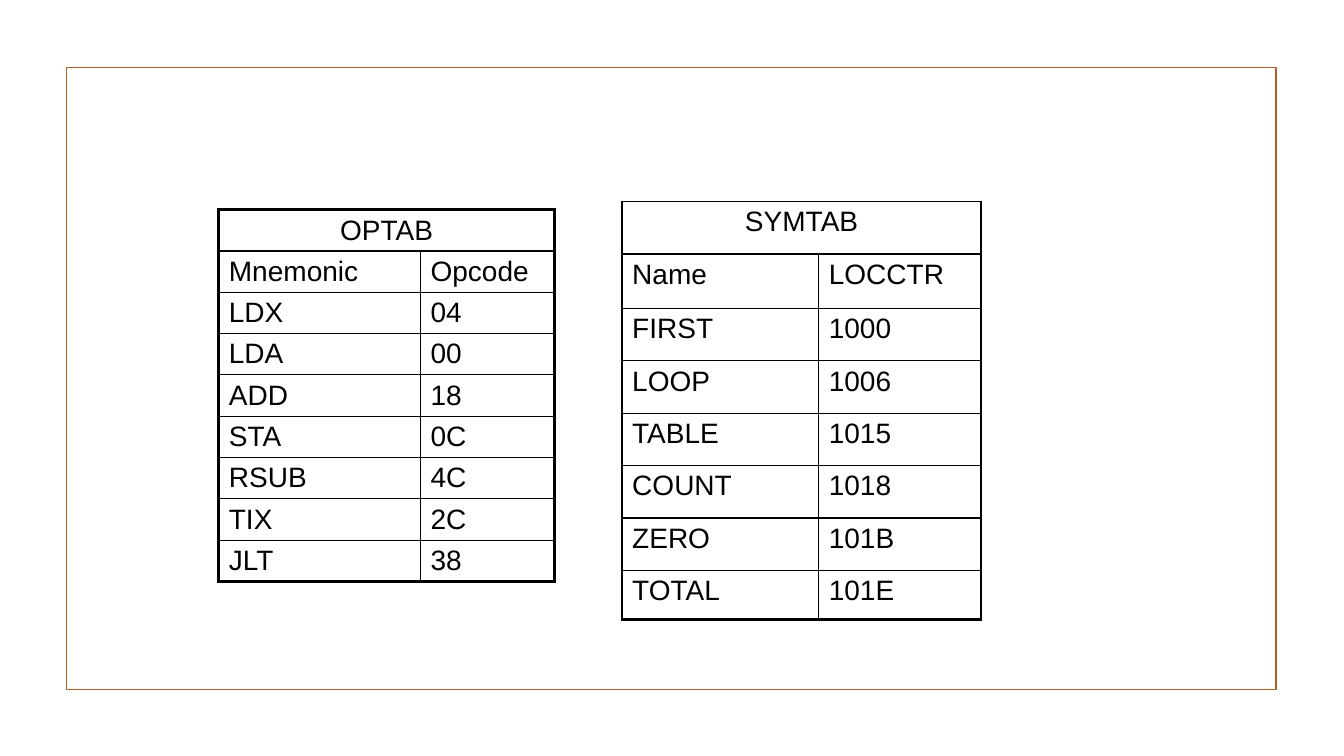
import pptx
import pptx.dml.color
import pptx.enum.shapes
import pptx.enum.text
import pptx.oxml
import pptx.oxml.ns
import pptx.util

PX = 9144  # 100 px to the inch
BLACK = pptx.dml.color.RGBColor(0x00, 0x00, 0x00)
RUST = pptx.dml.color.RGBColor(0xB1, 0x5E, 0x28)
FONT = "Arial"
THIN, THICK = 1, 2.25

OPTAB = [
    ("Mnemonic", "Opcode"),
    ("LDX", "04"),
    ("LDA", "00"),
    ("ADD", "18"),
    ("STA", "0C"),
    ("RSUB", "4C"),
    ("TIX", "2C"),
    ("JLT", "38"),
]
SYMTAB = [
    ("Name", "LOCCTR"),
    ("FIRST", "1000"),
    ("LOOP", "1006"),
    ("TABLE", "1015"),
    ("COUNT", "1018"),
    ("ZERO", "101B"),
    ("TOTAL", "101E"),
]


def px(num):
    return pptx.util.Emu(num * PX)


def add_frame(slide, left, top, width, height):
    frame = slide.shapes.add_shape(
        pptx.enum.shapes.MSO_SHAPE.RECTANGLE,
        px(left), px(top), px(width), px(height))
    frame.shadow.inherit = False
    frame.fill.background()
    frame.line.color.rgb = RUST
    frame.line.width = pptx.util.Pt(1.25)


def set_edges(cell, sizes):
    """Draw the cell's borders; sizes are points for L, R, T, B."""
    props = cell._tc.get_or_add_tcPr()
    for place, (side, size) in enumerate(zip("LRTB", sizes)):
        width = pptx.util.Pt(size)
        props.insert(place, pptx.oxml.parse_xml(
            f'<a:ln{side} {pptx.oxml.ns.nsdecls("a")} w="{width}">'
            f'<a:solidFill><a:srgbClr val="{BLACK}"/></a:solidFill>'
            f'</a:ln{side}>'))


def set_cell(cell, text):
    cell.fill.background()
    cell.margin_left = cell.margin_right = px(10)
    cell.margin_top, cell.margin_bottom = px(5), px(4)
    cell.text_frame.text = text
    para = cell.text_frame.paragraphs[0]
    para.font.size = pptx.util.Pt(20)
    for run in para.runs:
        run.font.name = FONT
        run.font.size = pptx.util.Pt(20)
        run.font.color.rgb = BLACK


def add_grid(slide, left, top, widths, heights, title, rows, cap):
    """Add a two-column table under a merged title; cap is its top line."""
    table = slide.shapes.add_table(
        len(heights), len(widths), px(left), px(top),
        px(sum(widths)), px(sum(heights))).table
    table.first_row = table.horz_banding = False
    for col, width in zip(table.columns, widths):
        col.width = px(width)
    for row, height in zip(table.rows, heights):
        row.height = px(height)

    # Title across both columns
    table.cell(0, 0).merge(table.cell(0, 1))
    last = len(heights) - 1
    for r, texts in enumerate([(title, "")] + rows):
        for c, text in enumerate(texts):
            cell = table.cell(r, c)
            set_cell(cell, text)
            set_edges(cell, (
                THICK if c == 0 or r == 0 else THIN,
                THICK if c == 1 or r == 0 else THIN,
                cap if r == 0 else THIN,
                THICK if r == last else THIN))
    head = table.cell(0, 0).text_frame.paragraphs[0]
    head.alignment = pptx.enum.text.PP_ALIGN.CENTER


def main():
    deck = pptx.Presentation()
    deck.slide_width, deck.slide_height = px(1333), px(750)
    slide = deck.slides.add_slide(deck.slide_layouts[6])

    # Border round the slide
    add_frame(slide, 66, 67, 1200, 617)

    # Opcode table and symbol table
    add_grid(slide, 217, 208, (200, 133), [41] * 9, "OPTAB", OPTAB, THICK)
    add_grid(slide, 617, 200, (195, 161), [52, 54] + [52] * 5 + [49],
             "SYMTAB", SYMTAB, THIN)

    deck.save("out.pptx")


if __name__ == "__main__":
    main()
